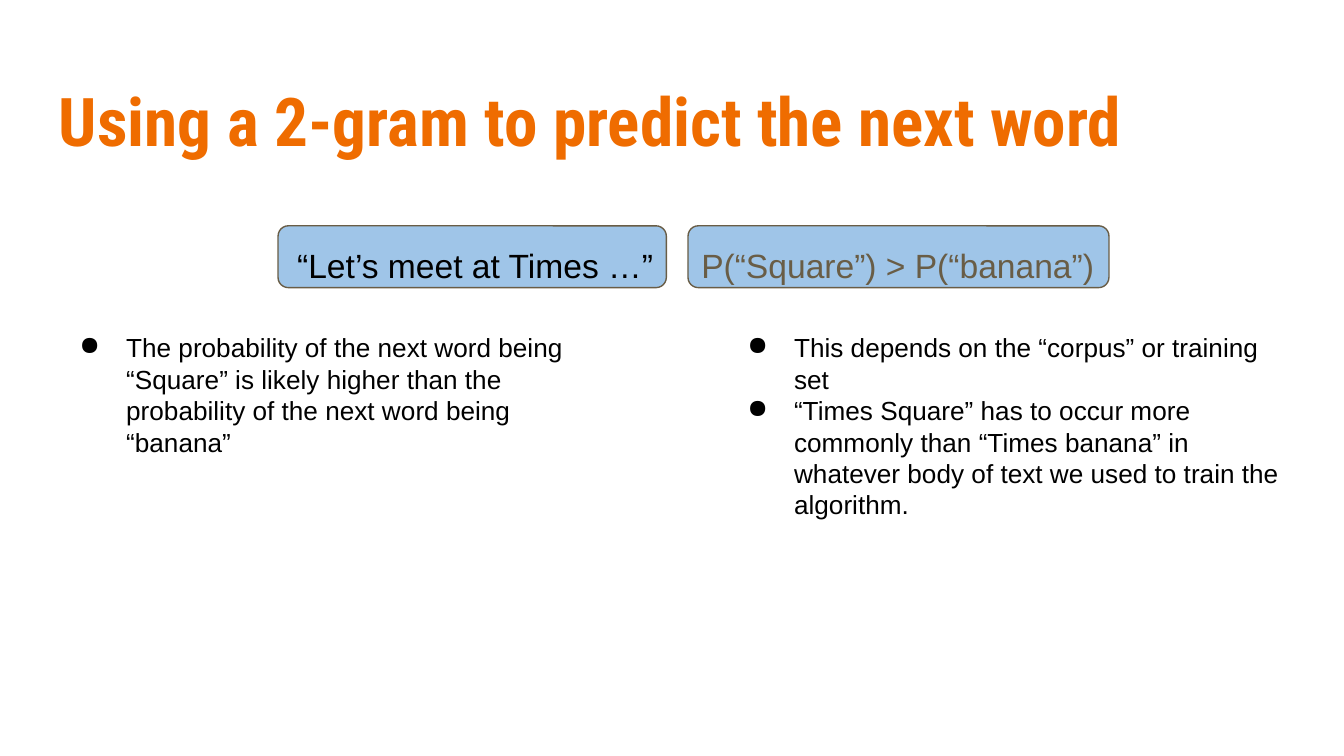
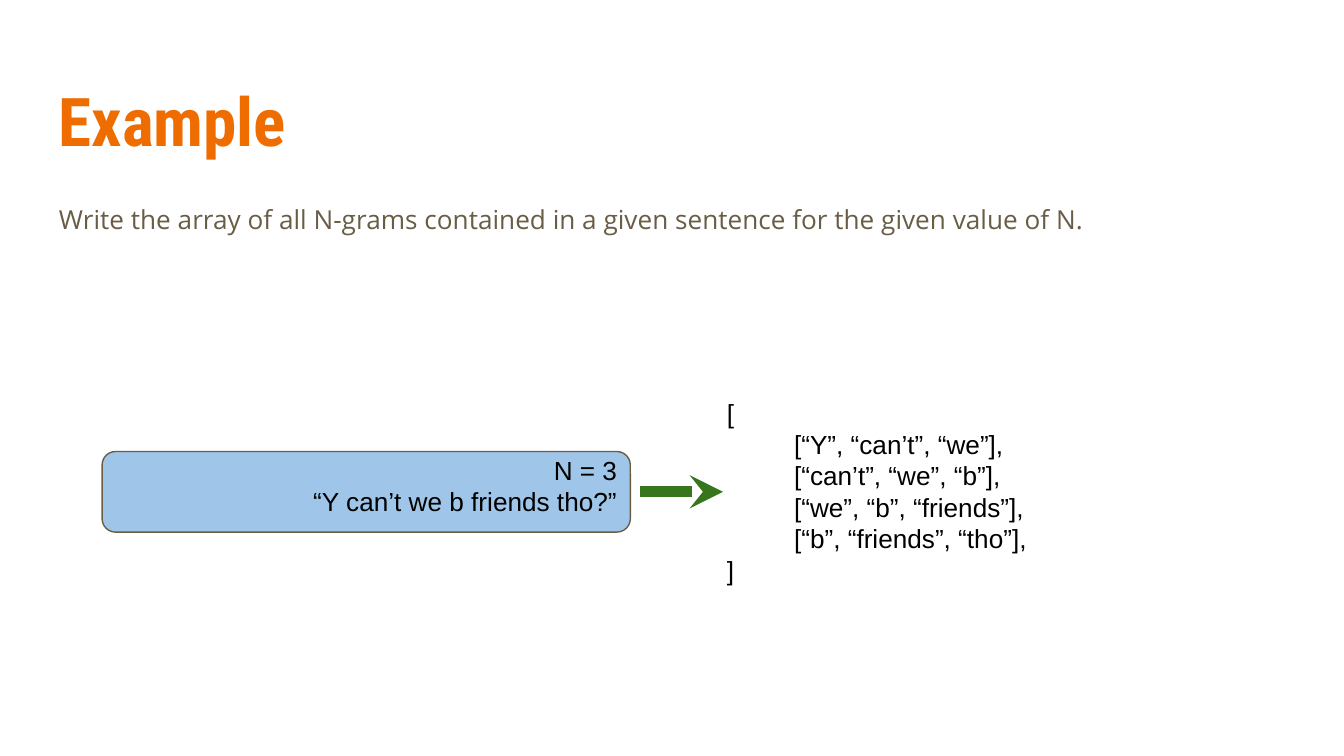
from lxml import etree
from pptx import Presentation
from pptx.dml.color import RGBColor
from pptx.enum.shapes import MSO_CONNECTOR, MSO_SHAPE
from pptx.enum.text import MSO_ANCHOR, PP_ALIGN
from pptx.oxml.ns import qn
from pptx.util import Pt

LEFT, RIGHT = PP_ALIGN.LEFT, PP_ALIGN.RIGHT
TOP, MIDDLE = MSO_ANCHOR.TOP, MSO_ANCHOR.MIDDLE
ROUNDED, STRAIGHT = MSO_SHAPE.ROUNDED_RECTANGLE, MSO_CONNECTOR.STRAIGHT

COLORS = {"title": "EF6C00", "body": "695D46", "black": "000000",
          "panel": "9FC5E8", "arrow": "38761D", "white": "FFFFFF"}
MARGIN, FULL_W = 24.5, 671
COL_W, COL_R = 313.2, 382.3


def add_text(s, text, box, font="Arial", size=14, color="black", bold=False,
             align=LEFT, anchor=TOP, line=1.0, after=0, bullet=False):
    tf = s.shapes.add_textbox(*[Pt(v) for v in box]).text_frame
    tf.word_wrap = True
    tf.vertical_anchor = anchor
    tf.margin_left = tf.margin_right = tf.margin_top = tf.margin_bottom = Pt(7.2)
    for i, words in enumerate(text.split("\n")):
        p = tf.paragraphs[0] if i == 0 else tf.add_paragraph()
        p.alignment, p.line_spacing, p.space_after = align, line, Pt(after)
        pPr = p._p.get_or_add_pPr()
        if bullet:
            pPr.set("marL", str(Pt(36)))
            pPr.set("indent", str(Pt(-25)))
            etree.SubElement(pPr, qn("a:buChar")).set("char", "●")
        elif words.startswith("[“"):
            pPr.set("marL", "0")
            pPr.set("indent", str(Pt(36)))
        r = p.add_run()
        r.text = words
        r.font.name, r.font.size, r.font.bold = font, Pt(size), bold
        r.font.color.rgb = RGBColor.from_string(COLORS[color])


def add_panel(s, box):
    sp = s.shapes.add_shape(ROUNDED, *[Pt(v) for v in box])
    sp.shadow.inherit = False
    sp.fill.solid()
    sp.fill.fore_color.rgb = RGBColor.from_string(COLORS["panel"])
    sp.line.color.rgb = RGBColor.from_string(COLORS["body"])
    sp.line.width = Pt(0.75)


prs = Presentation()
prs.slide_width, prs.slide_height = Pt(720), Pt(405)

slides = []
for title in ["Using a 2-gram to predict the next word", "Example"]:
    s = prs.slides.add_slide(prs.slide_layouts[6])
    s.background.fill.solid()
    s.background.fill.fore_color.rgb = RGBColor.from_string(COLORS["white"])
    add_text(s, title, (MARGIN, 35.3, FULL_W, 55.4), font="Roboto Condensed",
             size=36, color="title", bold=True)
    slides.append(s)
predict, example = slides

for text, left, width, color, align, after in [
    ("“Let’s meet at Times …”", 149, 208, "black", RIGHT, 0),
    ("P(“Square”) > P(“banana”)", 368.6, 225.5, "body", LEFT, 16),
]:
    box = (left, 121, width, 33.1)
    add_panel(predict, box)
    add_text(predict, text, box, size=18, color=color, align=align,
             line=1.15, after=after)

for text, left in [
    ("The probability of the next word being “Square” is likely higher than "
     "the probability of the next word being “banana”", MARGIN),
    ("This depends on the “corpus” or training set\n"
     "“Times Square” has to occur more commonly than “Times banana” in "
     "whatever body of text we used to train the algorithm.", COL_R),
]:
    add_text(predict, text, (left, 170.6, COL_W, 149), bullet=True)

add_text(example, "Write the array of all N-grams contained in a given sentence "
         "for the given value of N.", (MARGIN, 99.4, FULL_W, 27.4),
         font="Open Sans", color="body", line=1.15, after=16)
add_panel(example, (54.7, 241.9, 283, 43.2))
add_text(example, "N = 3\n“Y can’t we b friends tho?”",
         (MARGIN, 136, COL_W, 248.4), align=RIGHT, anchor=MIDDLE)

arrow = example.shapes.add_connector(STRAIGHT, Pt(342.7), Pt(263.5), Pt(387.4), Pt(263.5))
arrow.line.color.rgb = RGBColor.from_string(COLORS["arrow"])
arrow.line.width = Pt(6)
etree.SubElement(arrow.line._get_or_add_ln(), qn("a:tailEnd")).set("type", "stealth")
etree.SubElement(arrow._element.spPr, qn("a:effectLst"))

words = ["Y", "can’t", "we", "b", "friends", "tho"]
grams = ["[" + ", ".join(f"“{w}”" for w in words[i:i + 3]) + "]," for i in range(4)]
add_text(example, "\n".join(["[", *grams, "]"]),
         (COL_R, 141.1, COL_W, 244.1), anchor=MIDDLE)

prs.save("out.pptx")
